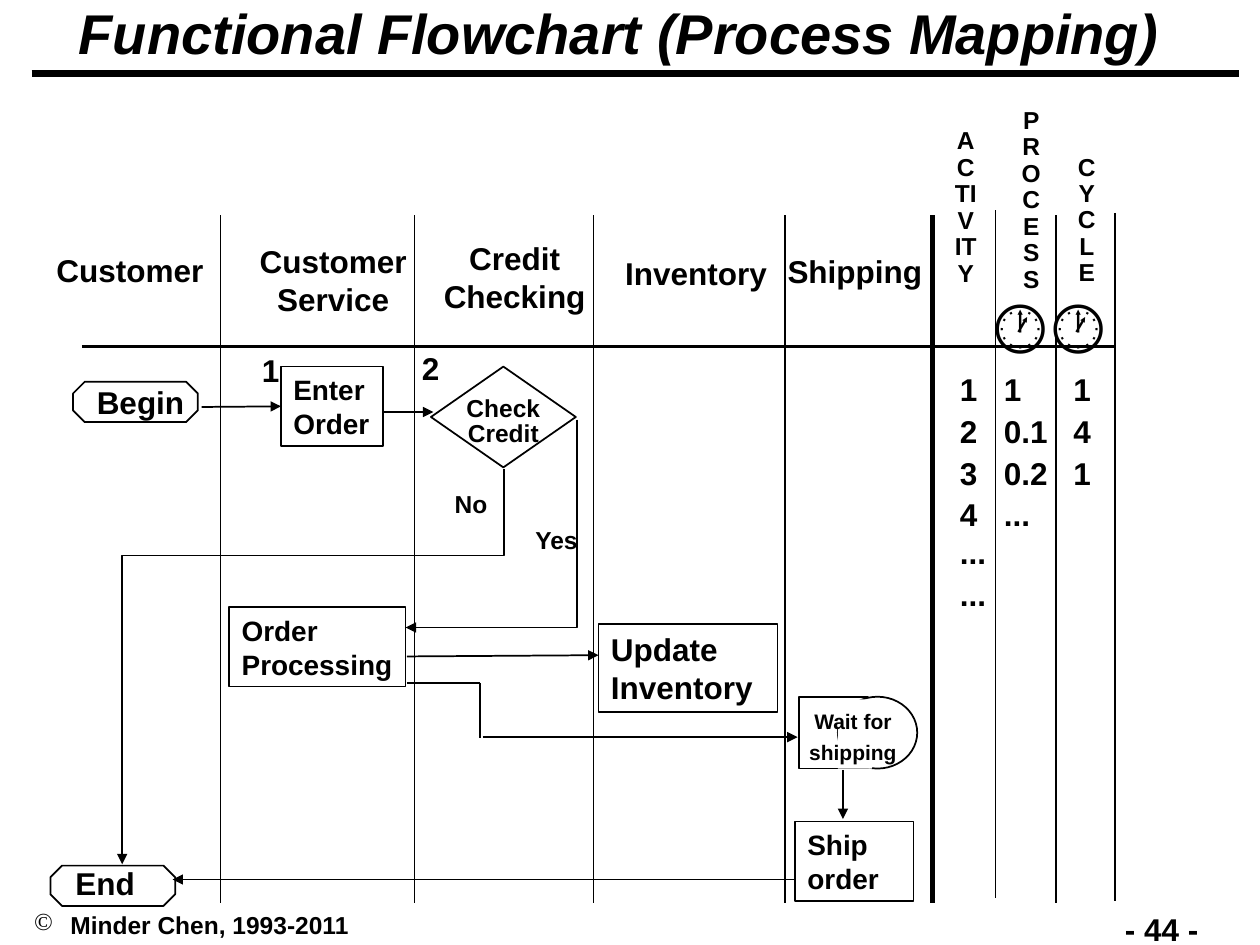
from dataclasses import dataclass
from typing import NamedTuple

from lxml import etree
from pptx import Presentation
from pptx.dml.color import RGBColor
from pptx.enum.shapes import MSO_CONNECTOR, MSO_SHAPE
from pptx.enum.text import MSO_ANCHOR, PP_ALIGN
from pptx.oxml.ns import qn
from pptx.util import Inches, Pt

LEFT, CENTER = PP_ALIGN.LEFT, PP_ALIGN.CENTER
TOP, MIDDLE = MSO_ANCHOR.TOP, MSO_ANCHOR.MIDDLE
RECT, OCTAGON = MSO_SHAPE.RECTANGLE, MSO_SHAPE.OCTAGON
DIAMOND, OVAL = MSO_SHAPE.DIAMOND, MSO_SHAPE.OVAL
STRAIGHT = MSO_CONNECTOR.STRAIGHT


@dataclass(frozen=True)
class Theme:
    ink: RGBColor = RGBColor(0, 0, 0)
    paper: RGBColor = RGBColor(255, 255, 255)
    font: str = "Arial"
    title: int = 32
    clock: int = 36
    heading: int = 18
    step: int = 16
    label: int = 14
    small: int = 12


class Box(NamedTuple):
    x: float
    y: float
    w: float
    h: float

    def emu(self):
        return [Inches(v) for v in self]


class Label(NamedTuple):
    text: str
    box: Box
    size: int
    align: PP_ALIGN = LEFT


class Line(NamedTuple):
    start: tuple[float, float]
    end: tuple[float, float]
    width: float = 1
    arrow: bool = False


THEME = Theme()

HEADINGS = [
    Label("Customer\nService", Box(1.96, 1.87, 1.37, 1), THEME.heading, CENTER),
    Label("Credit\nChecking", Box(3.42, 1.85, 1.33, 1), THEME.heading, CENTER),
    Label("Inventory", Box(4.86, 1.97, 1.33, 0.7), THEME.heading, CENTER),
    Label("Shipping", Box(6.15, 1.95, 1.27, 0.7), THEME.heading, CENTER),
    Label("Customer", Box(0.35, 1.94, 1.37, 0.4), THEME.heading),
]
MARKS = [
    Label("Begin", Box(0.67, 2.99, 0.9, 0.4), THEME.heading),
    Label("End", Box(0.5, 6.81, 0.67, 0.4), THEME.heading),
    Label("1", Box(1.98, 2.74, 0.34, 0.4), THEME.heading),
    Label("2", Box(3.25, 2.72, 0.34, 0.4), THEME.heading),
    Label("Yes", Box(4.15, 4.12, 0.55, 0.33), THEME.label),
    Label("No", Box(3.51, 3.83, 0.46, 0.33), THEME.label),
    Label("🕐", Box(7.79, 2.21, 0.7, 0.7), THEME.clock),
    Label("🕐", Box(8.25, 2.21, 0.7, 0.7), THEME.clock),
]
VERTICAL_WORDS = [
    Label("ACTIVITY", Box(7.48, 0.97, 0.37, 1.78), THEME.label, CENTER),
    Label("PROCESS", Box(7.98, 0.81, 0.41, 1.57), THEME.label, CENTER),
    Label("CYCLE", Box(8.42, 1.18, 0.41, 1.15), THEME.label, CENTER),
]
STEPS = [
    Label("Order\nProcessing", Box(1.82, 4.82, 1.4, 0.63), THEME.step),
    Label("Update\nInventory", Box(4.75, 4.95, 1.42, 0.7), THEME.heading),
    Label("Ship\norder", Box(6.31, 6.52, 0.94, 0.63), THEME.step),
]
ENTER_ORDER = Label("Enter\nOrder", Box(2.23, 2.91, 0.81, 0.63), THEME.step)
TERMINALS = [Box(0.58, 3.03, 0.99, 0.32), Box(0.4, 6.87, 0.99, 0.32)]

LANE_TOP, LANE_HEIGHT = 1.71, 5.46
LANES = [Line((x, y), (x, y + LANE_HEIGHT), width) for x, y, width in [
    (1.75, LANE_TOP, 1), (3.29, LANE_TOP, 1), (4.71, LANE_TOP, 1),
    (6.23, LANE_TOP, 1), (7.4, LANE_TOP, 3), (8.85, 1.69, 1),
    (8.38, LANE_TOP, 1), (7.9, 1.67, 1)]]
RULES = [Line((0.25, 0.58), (9.83, 0.58), 4), Line((0.65, 2.75), (8.85, 2.75), 2)]
FLOWS = [
    Line((3.04, 3.27), (3.44, 3.27), arrow=True),
    Line((3.23, 5.21), (4.75, 5.2), arrow=True),
    Line((3.23, 5.42), (3.81, 5.42)),
    Line((3.81, 5.42), (3.81, 5.86)),
    Line((3.83, 5.85), (6.33, 5.85), arrow=True),
    Line((6.31, 6.98), (1.37, 6.98), arrow=True),
    Line((6.69, 6.11), (6.69, 6.5), arrow=True),
]
YES_ROUTE = [(4.58, 3.33), (4.58, 4.98), (3.22, 4.98)]
NO_ROUTE = [(4, 3.72), (4, 4.41), (0.97, 4.41), (0.97, 6.86)]
TIMES = "1\t1\t1\n2\t0.1\t4\n3\t0.2\t1\n4\t...\t...\n..."


def write(sp, text: str, *, size: int, align=LEFT, anchor=TOP, wrap=False, italic=False,
          spacing=None, before=0, inset=0.1, tabs=(), bullet=None):
    """Fill a shape with one paragraph per line; tabs are (inches, alignment) pairs."""
    tf = sp.text_frame
    tf.word_wrap, tf.vertical_anchor = wrap, anchor
    tf.margin_left = tf.margin_right = Inches(inset)
    tf.margin_top = tf.margin_bottom = Inches(0.05)
    for i, line in enumerate(text.split("\n")):
        p = tf.add_paragraph() if i else tf.paragraphs[0]
        p.alignment = align
        if spacing:
            p.line_spacing = spacing
        if i and before:
            p.space_before = Pt(before)
        pPr = p._p.get_or_add_pPr()
        if bullet:
            pPr.set("marL", str(Inches(0.29)))
            pPr.set("indent", str(-Inches(0.29)))
            etree.SubElement(pPr, qn("a:buChar")).set("char", bullet)
        if tabs:
            tab_list = etree.SubElement(pPr, qn("a:tabLst"))
            for pos, algn in tabs:
                etree.SubElement(tab_list, qn("a:tab"), pos=str(Inches(pos)), algn=algn)
        r = p.add_run()
        r.text = line
        r.font.name, r.font.size = THEME.font, Pt(size)
        r.font.bold, r.font.italic = True, italic
        r.font.color.rgb = THEME.ink


def add_text(slide, label: Label, **fmt):
    sp = slide.shapes.add_textbox(*label.box.emu())
    write(sp, label.text, size=label.size, align=label.align, **fmt)


def style(sp, filled=False, outlined=True):
    sp.shadow.inherit = False
    if filled:
        sp.fill.solid()
        sp.fill.fore_color.rgb = THEME.paper
    else:
        sp.fill.background()
    if outlined:
        sp.line.color.rgb, sp.line.width = THEME.ink, Pt(1)
    else:
        sp.line.fill.background()


def add_box(slide, kind: MSO_SHAPE, box: Box, **look):
    sp = slide.shapes.add_shape(kind, *box.emu())
    style(sp, **look)
    return sp


def add_step(slide, step: Label):
    sp = add_box(slide, RECT, step.box)
    write(sp, step.text, size=step.size)
    return sp


def add_arrowhead(sp):
    etree.SubElement(sp.line._get_or_add_ln(), qn("a:tailEnd"), type="triangle")


def add_line(slide, line: Line):
    ends = [Inches(v) for v in line.start + line.end]
    cx = slide.shapes.add_connector(STRAIGHT, *ends)
    cx.line.color.rgb, cx.line.width = THEME.ink, Pt(line.width)
    if line.arrow:
        add_arrowhead(cx)
    etree.SubElement(cx._element.spPr, qn("a:effectLst"))
    return cx


def add_route(slide, points: list[tuple[float, float]]):
    start, *rest = [(Inches(x), Inches(y)) for x, y in points]
    builder = slide.shapes.build_freeform(*start)
    builder.add_line_segments(rest, close=False)
    sp = builder.convert_to_shape()
    style(sp)
    add_arrowhead(sp)


def main():
    prs = Presentation()
    prs.slide_width, prs.slide_height = Inches(10), Inches(7.5)
    slide = prs.slides.add_slide(prs.slide_layouts[6])

    add_text(slide, Label("- 44 -", Box(8.83, 7.17, 1.16, 0.7), THEME.heading), wrap=True)
    add_text(slide, Label("Minder Chen, 1993-2011", Box(0.17, 7.17, 3.4, 0.33), THEME.label),
             wrap=True, bullet="©")
    add_text(slide, Label("Functional Flowchart (Process Mapping)", Box(0, 0, 9.83, 0.58),
                          THEME.title, CENTER),
             anchor=MIDDLE, wrap=True, italic=True, spacing=0.9)
    for line in RULES + LANES:
        add_line(slide, line)

    for box in TERMINALS:
        add_box(slide, OCTAGON, box).adjustments[0] = 0.29
    enter = add_step(slide, ENTER_ORDER)
    add_line(slide, Line((1.6, 3.23), (2.23, 3.23), arrow=True)).end_connect(enter, 1)
    check = add_box(slide, DIAMOND, Box(3.42, 2.91, 1.15, 0.8))
    write(check, "Check\nCredit", size=THEME.label, align=CENTER, spacing=0.85, inset=0)
    for step in STEPS:
        add_step(slide, step)
    for route in (YES_ROUTE, NO_ROUTE):
        add_route(slide, route)

    add_box(slide, RECT, Box(6.34, 5.53, 0.55, 0.57), filled=True)
    add_box(slide, OVAL, Box(6.65, 5.53, 0.63, 0.57), filled=True)
    add_box(slide, RECT, Box(6.65, 5.55, 0.27, 0.55), filled=True, outlined=False)
    add_text(slide, Label("Wait for\nshipping", Box(6.32, 5.6, 0.9, 0.52), THEME.small, CENTER),
             spacing=0.9, before=4.5)
    for line in FLOWS:
        add_line(slide, line)

    for label in HEADINGS + MARKS:
        add_text(slide, label)
    for label in VERTICAL_WORDS:
        add_text(slide, label, wrap=True, spacing=0.9)
    add_text(slide, Label(TIMES, Box(7.52, 2.89, 1.24, 1.73), THEME.heading),
             wrap=True, before=2.2, tabs=[(0.35, "l"), (0.97, "ctr")])

    prs.save("out.pptx")


if __name__ == "__main__":
    main()
